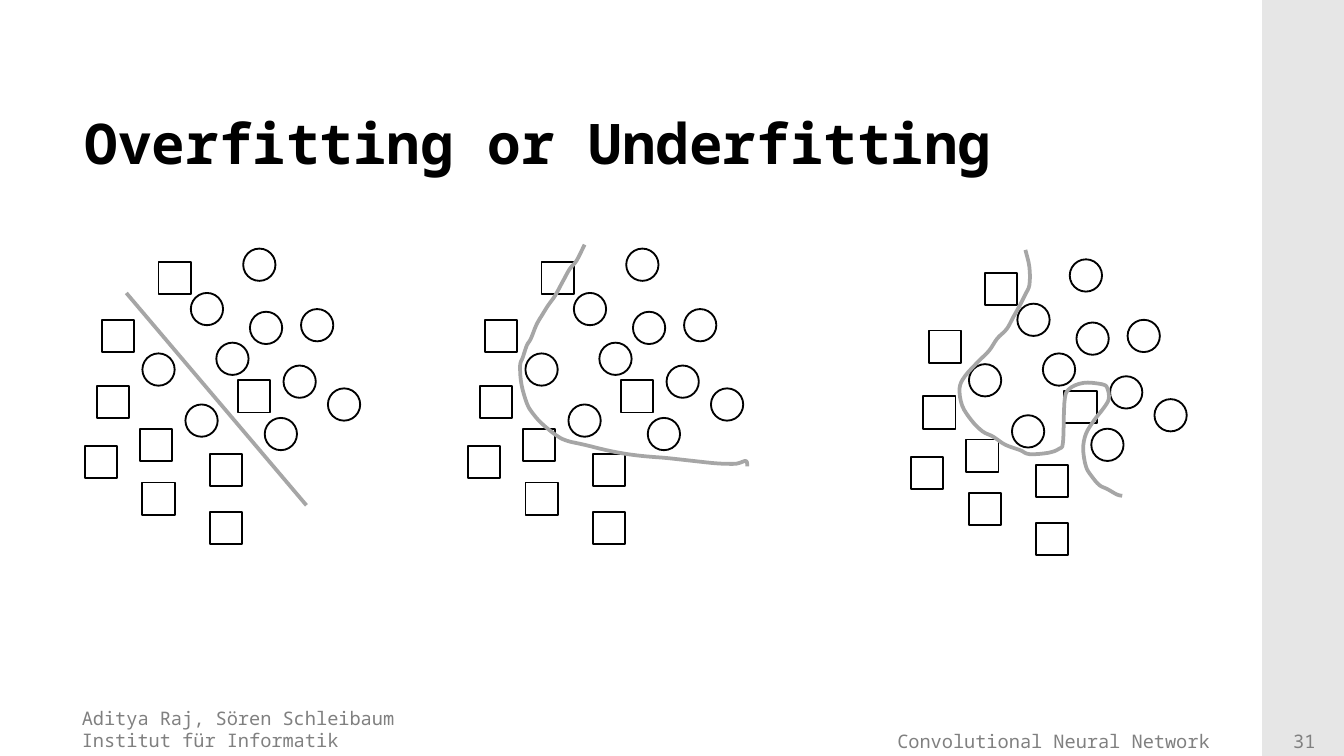
from lxml import etree
from pptx import Presentation
from pptx.dml.color import RGBColor
from pptx.enum.shapes import MSO_CONNECTOR, MSO_SHAPE
from pptx.enum.text import MSO_ANCHOR, PP_ALIGN
from pptx.oxml.ns import qn
from pptx.util import Inches, Pt

SQUARE, CIRCLE, STRAIGHT = MSO_SHAPE.RECTANGLE, MSO_SHAPE.OVAL, MSO_CONNECTOR.STRAIGHT
LEFT, CENTER, RIGHT = PP_ALIGN.LEFT, PP_ALIGN.CENTER, PP_ALIGN.RIGHT
TOP, MIDDLE, BOTTOM = MSO_ANCHOR.TOP, MSO_ANCHOR.MIDDLE, MSO_ANCHOR.BOTTOM

COLORS = {"ink": "000000", "boundary": "A6A6A6", "footer": "808080", "band": "E6E6E6"}
FONT = "Noto Sans Mono"
COLUMNS, ROWS = 100, 56.25
MARKER_SIZE = 2.4
TITLE_ONLY = 5

SQUARES = [(7.6, 23.8), (11.8, 19.5), (17.7, 28.3), (15.6, 33.8), (7.2, 28.7),
           (10.4, 31.9), (6.3, 33.2), (10.6, 35.9), (15.6, 38.1)]
CIRCLES = [(14.2, 21.8), (18.6, 23.2), (16.1, 25.5), (18.1, 18.5), (10.6, 26.3),
           (13.8, 30.1), (21.1, 27.2), (22.4, 23), (19.7, 31.1), (24.4, 28.9)]
PANEL_OFFSETS = [(0, 0), (28.5, 0), (61.5, 0.8)]

UNDERFIT = [(9.4, 21.8), (22.8, 37.6)]
GOOD_FIT = [
    (43.5, 18.2), (42.9, 19.4), (42.4, 20), (41.9, 20.9), (41.3, 22), (40.8, 22.7),
    (40.3, 23.5), (39.9, 24.2), (39.5, 25.2), (39.2, 25.7), (38.9, 26.6), (38.7, 27.2),
    (38.8, 28.6), (39.2, 30), (39.6, 30.7), (40.3, 31.5), (41.4, 32.4), (42.2, 32.8),
    (43.5, 33.1), (45.6, 33.6), (47.5, 33.9), (49.8, 34.1), (52.5, 34.4), (53.7, 34.5),
    (54.8, 34.5), (55.5, 34.3), (55.6, 34.7)]
OVERFIT = [
    (76.3, 18.6), (76.6, 19.9), (76.6, 21.2), (76.3, 21.9), (75.9, 22.7), (75.4, 23.6),
    (74.9, 24.5), (74.2, 25.2), (73.6, 26.1), (72.8, 26.9), (71.8, 28), (71.4, 28.9),
    (71.6, 30.2), (72.3, 31.3), (73.1, 32.1), (73.9, 32.5), (74.8, 33.1), (75.9, 33.5),
    (76.6, 33.8), (78, 33.7), (78.8, 33.4), (79.1, 32.9), (79.2, 30), (79.5, 29),
    (80.6, 28.5), (82, 28.6), (82.4, 28.9), (82.5, 29.7), (82.1, 30.4), (81.4, 31.3),
    (80.8, 32.3), (80.6, 33.4), (80.8, 34.7), (81.2, 35.4), (81.8, 36.1), (82.4, 36.4),
    (83.1, 36.8), (83.5, 36.9)]


def write_text(frame, text, size=10, color="footer", bold=False, align=LEFT, anchor=TOP,
               right_inset=0.1):
    """Fill a text frame with one paragraph per line of text."""
    frame.word_wrap = True
    frame.vertical_anchor = anchor
    frame.margin_left, frame.margin_right = Inches(0.1), Inches(right_inset)
    frame.margin_top = frame.margin_bottom = Inches(0.05)
    frame.text = text
    for paragraph in frame.paragraphs:
        paragraph.alignment = align
        for run in paragraph.runs:
            run.font.name, run.font.size, run.font.bold = FONT, Pt(size), bold
            run.font.color.rgb = RGBColor.from_string(COLORS[color])


def smooth_points(points, steps=4):
    """Return points along a Catmull-Rom curve through the given points."""
    padded = [points[0], *points, points[-1]]
    curve = [points[0]]
    for before, start, end, after in zip(padded, padded[1:], padded[2:], padded[3:]):
        for step in range(1, steps + 1):
            t = step / steps
            curve.append(tuple(
                (2 * b + (c - a) * t + (2 * a - 5 * b + 4 * c - d) * t ** 2
                 + (3 * b - a - 3 * c + d) * t ** 3) / 2
                for a, b, c, d in zip(before, start, end, after)))
    return curve


class SlideBuilder:
    """Draw styled elements on one slide, measured in grid columns and rows."""

    def __init__(self, deck):
        self.column = deck.slide_width / COLUMNS
        self.row = deck.slide_height / ROWS
        self.slide = deck.slides.add_slide(deck.slide_layouts[TITLE_ONLY])
        self.shapes = self.slide.shapes

    def place(self, *lengths):
        """Turn alternating columns and rows into slide lengths."""
        return [round(length * (self.row if index % 2 else self.column))
                for index, length in enumerate(lengths)]

    def outline(self, element, color, width):
        """Set the line of a shape or connector."""
        element.line.color.rgb = RGBColor.from_string(COLORS[color])
        element.line.width = Pt(width)

    def title(self, text, *box):
        """Move and fill the title placeholder."""
        heading = self.shapes.title
        heading.left, heading.top, heading.width, heading.height = self.place(*box)
        write_text(heading.text_frame, text, size=30, color="ink", bold=True, anchor=MIDDLE)

    def text(self, text, *box, **style):
        """Add a text box."""
        write_text(self.shapes.add_textbox(*self.place(*box)).text_frame, text, **style)

    def band(self, color, *box):
        """Add a filled rectangle without a line."""
        band = self.shapes.add_shape(SQUARE, *self.place(*box))
        band.shadow.inherit = False
        band.fill.solid()
        band.fill.fore_color.rgb = RGBColor.from_string(COLORS[color])
        band.line.fill.background()

    def marker(self, kind, left, top):
        """Add one hollow data point."""
        marker = self.shapes.add_shape(kind, *self.place(left, top, MARKER_SIZE, MARKER_SIZE))
        marker.shadow.inherit = False
        marker.fill.background()
        self.outline(marker, "ink", 1)

    def straight_boundary(self, start, end):
        """Add a straight decision boundary."""
        boundary = self.shapes.add_connector(STRAIGHT, *self.place(*start, *end))
        self.outline(boundary, "boundary", 2)
        etree.SubElement(boundary.element.spPr, qn("a:effectLst"))

    def curved_boundary(self, points):
        """Add a curved decision boundary."""
        start, *rest = [self.place(*point) for point in smooth_points(points)]
        builder = self.shapes.build_freeform(*start)
        builder.add_line_segments(rest, close=False)
        boundary = builder.convert_to_shape()
        boundary.shadow.inherit = False
        boundary.fill.background()
        self.outline(boundary, "boundary", 2)


def main():
    """Build and save the slide."""
    deck = Presentation()
    deck.slide_width, deck.slide_height = Inches(10), Inches(5.625)
    page = SlideBuilder(deck)

    page.band("band", 93.9, 0, 6.1, ROWS)
    page.text("Aditya Raj, Sören Schleibaum\nInstitut für Informatik", 5.1, 52.1, 42.5, 4.4)
    page.text("Convolutional Neural Network", 48.5, 52.5, 43.3, 4,
              align=RIGHT, anchor=BOTTOM, right_inset=0.18)
    page.text("31", 94.5, 53.8, 5.1, 2.7, align=CENTER)
    page.title("Overfitting or Underfitting", 5.3, 7.7, 86.4, 5.7)

    page.straight_boundary(*UNDERFIT)
    for right, down in PANEL_OFFSETS:
        for kind, positions in ((SQUARE, SQUARES), (CIRCLE, CIRCLES)):
            for left, top in positions:
                page.marker(kind, left + right, top + down)
    for points in (GOOD_FIT, OVERFIT):
        page.curved_boundary(points)

    deck.save("out.pptx")


if __name__ == "__main__":
    main()
